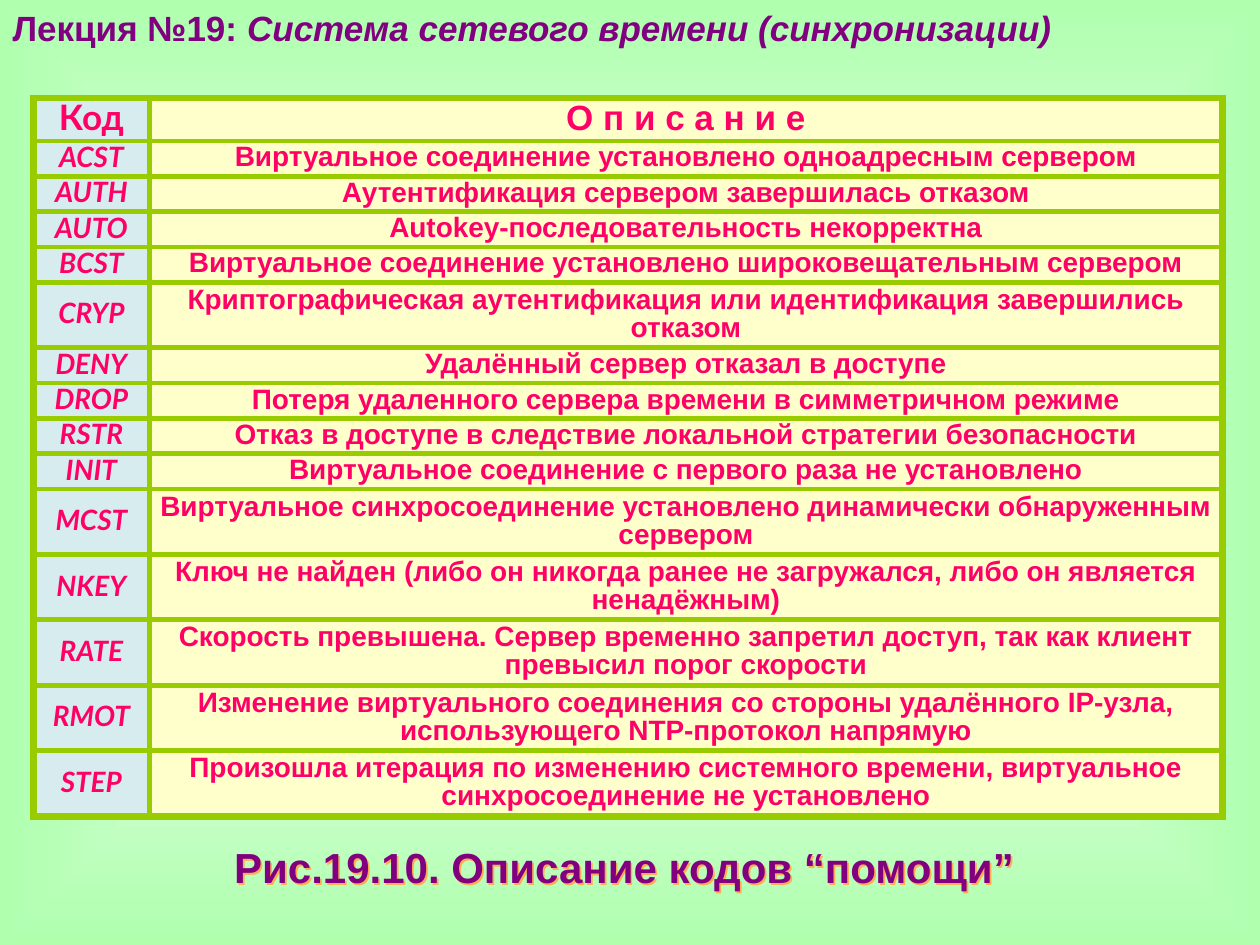
from dataclasses import dataclass

from lxml import etree
from pptx import Presentation
from pptx.dml.color import RGBColor
from pptx.enum import text
from pptx.oxml import parse_xml
from pptx.oxml.ns import qn
from pptx.util import Pt

NS = 'xmlns:a="http://schemas.openxmlformats.org/drawingml/2006/main"'


@dataclass(frozen=True)
class Theme:
    font: str = "Arial"
    code_font: str = "Lato"
    heading: str = "800080"
    shadow: str = "FFAA55"
    label: str = "FF0066"
    code_fill: str = "D6ECEE"
    text_fill: str = "FFFFCC"
    border: str = "99CC00"
    center: str = "FFFFFF"
    edge: str = "AFFFAF"
    title_size: float = 20
    cell_size: float = 16
    caption_size: float = 24
    outer: float = 4.5
    inner: float = 3


class SlideBuilder:
    def __init__(self, prs, theme):
        self.theme = theme
        self.slide = prs.slides.add_slide(prs.slide_layouts[5])

    def font(self, p, size, color, name=None, italic=None):
        p.font.name = name or self.theme.font
        p.font.size = Pt(size)
        p.font.bold = True
        p.font.italic = italic
        p.font.color.rgb = RGBColor.from_string(color)

    def background(self):
        t = self.theme
        self.slide.background.fill.solid()
        bg_pr = self.slide.background._cSld.find(".//" + qn("p:bgPr"))
        bg_pr.replace(bg_pr[0], parse_xml(
            f'<a:gradFill {NS} rotWithShape="1"><a:gsLst>'
            f'<a:gs pos="0"><a:srgbClr val="{t.center}"/></a:gs>'
            f'<a:gs pos="100000"><a:srgbClr val="{t.edge}"/></a:gs></a:gsLst>'
            '<a:path path="shape"><a:fillToRect l="50000" t="50000" r="50000" b="50000"/>'
            '</a:path></a:gradFill>'))

    def title(self, lead, topic, x, y, w, h):
        sp = self.slide.shapes.title
        sp.left, sp.top, sp.width, sp.height = Pt(x), Pt(y), Pt(w), Pt(h)
        tf = sp.text_frame
        tf.auto_size = text.MSO_AUTO_SIZE.NONE
        tf.vertical_anchor = text.MSO_ANCHOR.TOP
        p = tf.paragraphs[0]
        p.alignment = text.PP_ALIGN.LEFT
        self.font(p, self.theme.title_size, self.theme.heading)
        p.add_run().text = lead
        r = p.add_run()
        r.text = topic
        r.font.italic = True

    def caption(self, words, x, y, w, h):
        t = self.theme
        sp = self.slide.shapes.add_textbox(Pt(x), Pt(y), Pt(w), Pt(h))
        tf = sp.text_frame
        tf.word_wrap = True
        tf.vertical_anchor = text.MSO_ANCHOR.MIDDLE
        tf.margin_left = tf.margin_top = tf.margin_bottom = 0
        tf.margin_right = Pt(6.7)
        p = tf.paragraphs[0]
        p.text = words
        p.alignment = text.PP_ALIGN.CENTER
        p.line_spacing = 0.9
        self.font(p, t.caption_size, t.heading)
        sp._element.spPr.append(parse_xml(
            f'<a:effectLst {NS}><a:outerShdw dist="17961" dir="2700000">'
            f'<a:srgbClr val="{t.shadow}"/></a:outerShdw></a:effectLst>'))

    def borders(self, cell, widths):
        tc_pr = cell._tc.get_or_add_tcPr()
        for i, (side, width) in enumerate(zip("LRTB", widths)):
            ln = etree.Element(qn(f"a:ln{side}"), w=str(Pt(width)))
            fill = etree.SubElement(ln, qn("a:solidFill"))
            etree.SubElement(fill, qn("a:srgbClr"), val=self.theme.border)
            tc_pr.insert(i, ln)

    def cell(self, cell, words, is_code, is_header):
        t = self.theme
        cell.fill.solid()
        cell.fill.fore_color.rgb = RGBColor.from_string(t.code_fill if is_code else t.text_fill)
        cell.vertical_anchor = text.MSO_ANCHOR.MIDDLE
        cell.margin_left = cell.margin_right = cell.margin_top = cell.margin_bottom = Pt(1.4)
        p = cell.text_frame.paragraphs[0]
        p.text = words
        p.alignment = text.PP_ALIGN.CENTER
        p.line_spacing = 0.9
        self.font(p, t.title_size if is_header else t.cell_size, t.label,
                  t.code_font if is_code else t.font, is_code and not is_header)

    def table(self, rows, x, y, columns, heights):
        t = self.theme
        table = self.slide.shapes.add_table(
            len(rows), len(columns), Pt(x), Pt(y), Pt(sum(columns)), Pt(sum(heights))).table
        table.first_row = table.horz_banding = False
        for column, width in zip(table.columns, columns):
            column.width = Pt(width)
        last_row, last_col = len(rows) - 1, len(columns) - 1
        for i, row in enumerate(rows):
            table.rows[i].height = Pt(heights[i])
            for j, words in enumerate(row):
                cell = table.cell(i, j)
                self.cell(cell, words, j == 0, i == 0)
                edges = (j == 0, j == last_col, i == 0, i == last_row)
                self.borders(cell, [t.outer if edge else t.inner for edge in edges])


CODES = [
    ("Код", "О п и с а н и е"),
    ("ACST", "Виртуальное соединение установлено одноадресным сервером"),
    ("AUTH", "Аутентификация сервером завершилась отказом"),
    ("AUTO", "Autokey-последовательность некорректна"),
    ("BCST", "Виртуальное соединение установлено широковещательным сервером"),
    ("CRYP", "Криптографическая аутентификация или идентификация завершились отказом"),
    ("DENY", "Удалённый сервер отказал в доступе"),
    ("DROP", "Потеря удаленного сервера времени в симметричном режиме"),
    ("RSTR", "Отказ в доступе в следствие локальной стратегии безопасности"),
    ("INIT", "Виртуальное соединение с первого раза не установлено"),
    ("MCST", "Виртуальное синхросоединение установлено динамически обнаруженным сервером"),
    ("NKEY", "Ключ не найден (либо он никогда ранее не загружался, либо он является ненадёжным)"),
    ("RATE", "Скорость превышена. Сервер временно запретил доступ, так как клиент "
             "превысил порог скорости"),
    ("RMOT", "Изменение виртуального соединения со стороны удалённого IP-узла, "
             "использующего NTP-протокол напрямую"),
    ("STEP", "Произошла итерация по изменению системного времени, виртуальное "
             "синхросоединение не установлено"),
]
HEADER_HEIGHT, ONE_LINE, TWO_LINES = 24.5, 20.2, 37.4
LINE_LIMIT = 65


def main():
    prs = Presentation()
    prs.slide_width, prs.slide_height = Pt(720), Pt(540)
    s = SlideBuilder(prs, Theme())
    s.background()
    s.title("Лекция №19: ", "Система сетевого времени (синхронизации)", 0, 0, 720, 31)
    heights = [HEADER_HEIGHT] + [
        TWO_LINES if len(words) > LINE_LIMIT else ONE_LINE for _, words in CODES[1:]]
    s.table(CODES, 19, 56, [66.5, 613], heights)
    s.caption("Рис.19.10. Описание кодов “помощи”", 0, 484, 720, 26)
    prs.save("out.pptx")


if __name__ == "__main__":
    main()
